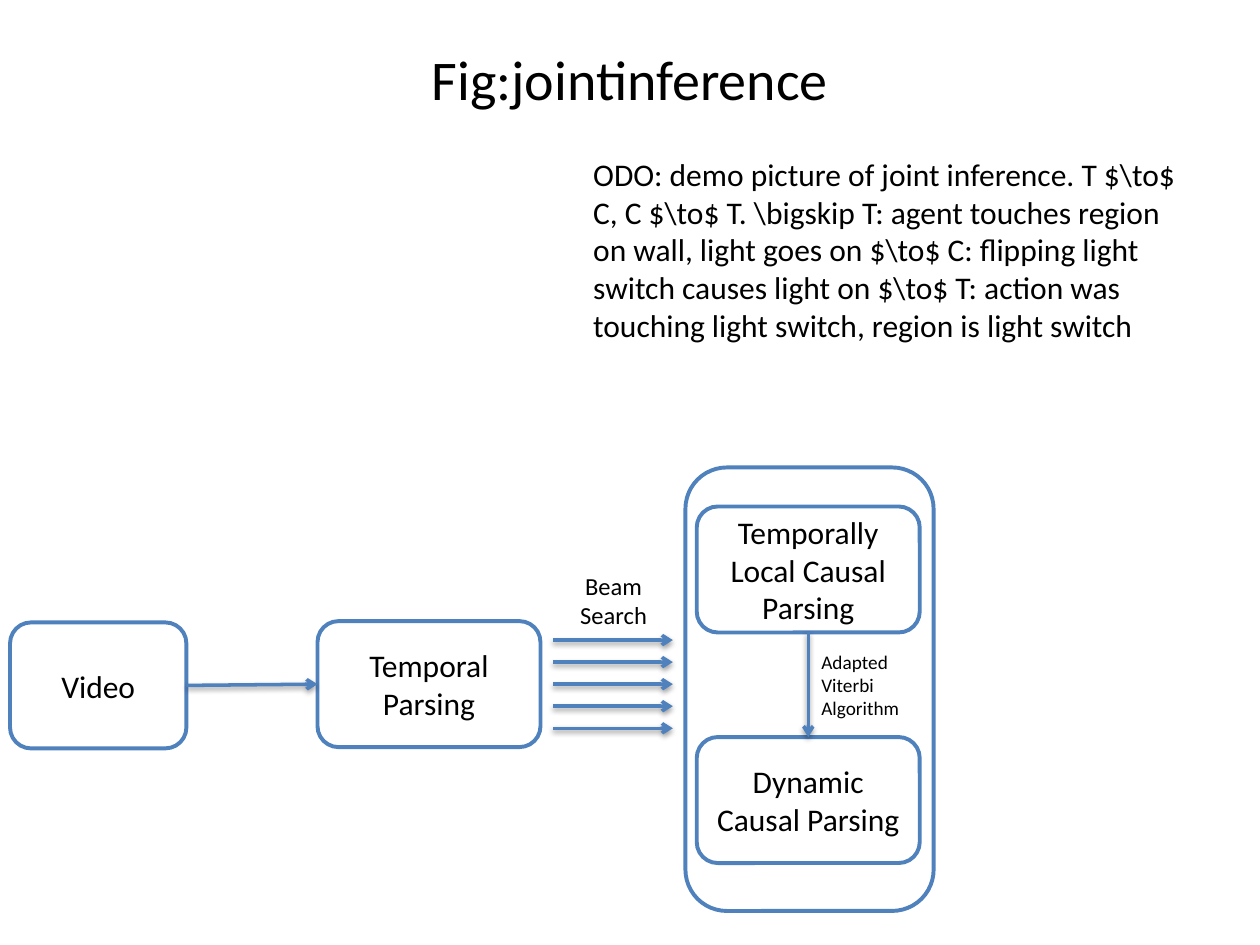
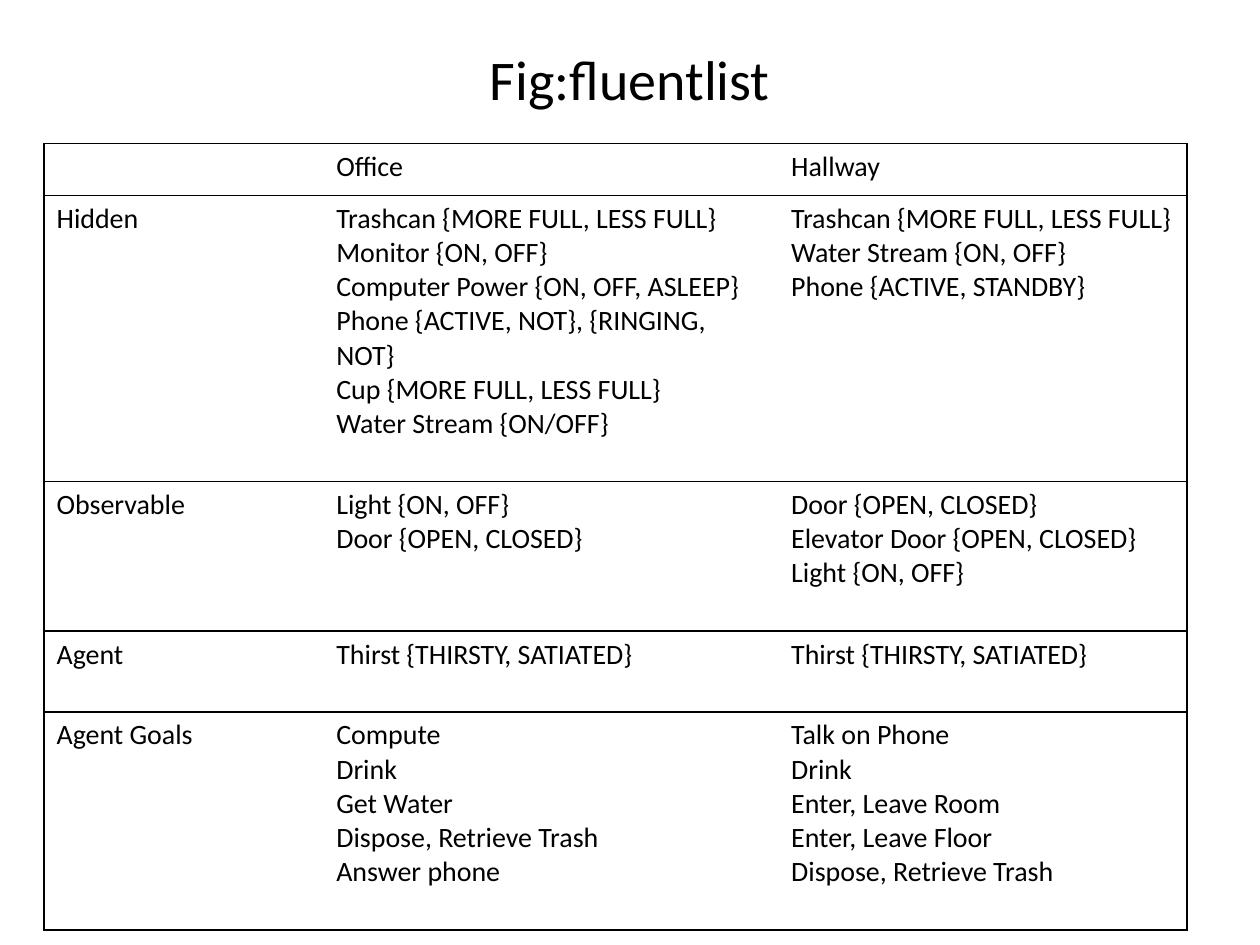
import pptx
import pptx.dml.color
import pptx.enum.shapes
import pptx.enum.text
import pptx.oxml
import pptx.oxml.ns
import pptx.util
from pptx.util import Inches

FONT = "Calibri"
BLACK, WHITE, BLUE = "000000", "FFFFFF", "4F81BD"
TOP, LEFT, BOTTOM, RIGHT = range(4)  # connection sites
ALIGN = pptx.enum.text.PP_ALIGN
ANCHOR = pptx.enum.text.MSO_ANCHOR
NS = pptx.oxml.ns.nsdecls("a")

FLUENTS = [
    ([], ["Office"], ["Hallway"]),
    (["Hidden"],
     ["Trashcan {MORE FULL, LESS FULL}", "Monitor {ON, OFF}",
      "Computer Power {ON, OFF, ASLEEP}",
      "Phone {ACTIVE, NOT}, {RINGING, NOT}",
      "Cup {MORE FULL, LESS FULL}", "Water Stream {ON/OFF}"],
     ["Trashcan {MORE FULL, LESS FULL}", "Water Stream {ON, OFF}",
      "Phone {ACTIVE, STANDBY}"]),
    (["Observable"],
     ["Light {ON, OFF}", "Door {OPEN, CLOSED}"],
     ["Door {OPEN, CLOSED}", "Elevator Door {OPEN, CLOSED}",
      "Light {ON, OFF}"]),
    (["Agent"], ["Thirst {THIRSTY, SATIATED}"],
     ["Thirst {THIRSTY, SATIATED}"]),
    (["Agent Goals"],
     ["Compute", "Drink", "Get Water", "Dispose, Retrieve Trash",
      "Answer phone"],
     ["Talk on Phone", "Drink", "Enter, Leave Room", "Enter, Leave Floor",
      "Dispose, Retrieve Trash"]),
]


def rgb(hex_text):
    return pptx.dml.color.RGBColor.from_string(hex_text)


def write(tf, lines, size, align=ALIGN.LEFT):
    """Fill a text frame with one paragraph per line."""
    tf.word_wrap = True
    for i, line in enumerate(lines):
        p = tf.add_paragraph() if i else tf.paragraphs[0]
        p.text = line
        p.alignment = align
        p.font.name = FONT
        p.font.size = pptx.util.Pt(size)
        p.font.color.rgb = rgb(BLACK)


def add_titled_slide(prs, title):
    s = prs.slides.add_slide(prs.slide_layouts[5])
    sp = s.shapes.title
    sp.left, sp.top = Inches(0.5), Inches(0.3)
    sp.width, sp.height = Inches(9), Inches(0.64)
    write(sp.text_frame, [title], 32, ALIGN.CENTER)
    sp.text_frame.vertical_anchor = ANCHOR.MIDDLE
    return s


def add_label(s, x, y, w, h, text, size, align=ALIGN.LEFT):
    sp = s.shapes.add_textbox(Inches(x), Inches(y), Inches(w), Inches(h))
    write(sp.text_frame, [text], size, align)
    sp.text_frame.auto_size = pptx.enum.text.MSO_AUTO_SIZE.SHAPE_TO_FIT_TEXT


def add_step(s, x, y, w, h, text=""):
    """Outlined rounded box, with its name centred if it has one."""
    sp = s.shapes.add_shape(
        pptx.enum.shapes.MSO_SHAPE.ROUNDED_RECTANGLE,
        Inches(x), Inches(y), Inches(w), Inches(h))
    sp.shadow.inherit = False
    sp.fill.background()
    sp.line.color.rgb = rgb(BLUE)
    sp.line.width = pptx.util.Pt(2.25)
    if text:
        write(sp.text_frame, [text], 18, ALIGN.CENTER)
        sp.text_frame.vertical_anchor = ANCHOR.MIDDLE
    return sp


def add_arrow(s, x1=0, y1=0, x2=0, y2=0):
    """Arrow with an open head and a soft shadow below."""
    cx = s.shapes.add_connector(
        pptx.enum.shapes.MSO_CONNECTOR.STRAIGHT,
        Inches(x1), Inches(y1), Inches(x2), Inches(y2))
    cx.line.color.rgb = rgb(BLUE)
    cx.line.width = pptx.util.Pt(2)
    cx.line._get_or_add_ln().append(
        pptx.oxml.parse_xml(f'<a:tailEnd {NS} type="arrow"/>'))
    cx._element.spPr.append(pptx.oxml.parse_xml(
        f'<a:effectLst {NS}><a:outerShdw blurRad="40000" dist="20000" '
        f'dir="5400000" rotWithShape="0"><a:srgbClr val="{BLACK}">'
        '<a:alpha val="38000"/></a:srgbClr></a:outerShdw></a:effectLst>'))
    return cx


def join(s, start, start_site, end, end_site):
    cx = add_arrow(s)
    cx.begin_connect(start, start_site)
    cx.end_connect(end, end_site)


def add_beam(s, x, y, w, h, count=5):
    """Parallel arrows spread evenly over the height, under a label."""
    for i in range(count):
        arrow_y = y + i * h / (count - 1)
        add_arrow(s, x, arrow_y, x + w, arrow_y)
    add_label(s, x + 0.04, y - 0.6, 0.88, 0.57, "Beam Search", 14,
              ALIGN.CENTER)


def add_causal_group(s, x, y, w, h):
    """Frame holding the two causal parsing steps."""
    step_x, step_w = x + 0.09, w - 0.2
    local = add_step(s, step_x, y + 0.31, step_w, 1,
                     "Temporally Local Causal Parsing")
    dynamic = add_step(s, step_x, y + 2.14, step_w, 1,
                       "Dynamic Causal Parsing")
    join(s, local, BOTTOM, dynamic, TOP)
    add_step(s, x, y, w, h)
    add_label(s, x + 0.98, y + 1.4, 0.89, 0.66,
              "Adapted Viterbi Algorithm", 11)


def add_pipeline(s, x, y):
    """Video, temporal parsing, beam search and causal parsing in a row."""
    video = add_step(s, x, y + 1.23, 1.4, 1, "Video")
    temporal = add_step(s, x + 2.44, y + 1.22, 1.77, 1, "Temporal Parsing")
    join(s, video, RIGHT, temporal, LEFT)
    add_beam(s, x + 4.31, y + 1.37, 0.95, 0.7)
    add_causal_group(s, x + 5.36, y, 1.97, 3.52)


def set_borders(cell, sides):
    """Black rules on the named sides (L, R, T, B), none on the others."""
    tcPr = cell._tc.get_or_add_tcPr()
    for side in "LRTB":
        paint = (f'<a:solidFill><a:srgbClr val="{BLACK}"/></a:solidFill>'
                 if side in sides else "<a:noFill/>")
        tcPr.append(pptx.oxml.parse_xml(
            f'<a:ln{side} {NS} w="12700">{paint}</a:ln{side}>'))


def add_fluent_table(s, x, y, widths, heights):
    table = s.shapes.add_table(
        len(heights), len(widths), Inches(x), Inches(y),
        Inches(sum(widths)), Inches(sum(heights))).table
    table.first_row = table.horz_banding = False
    for column, width in zip(table.columns, widths):
        column.width = Inches(width)
    for r, (height, row) in enumerate(zip(heights, FLUENTS)):
        table.rows[r].height = Inches(height)
        for c, lines in enumerate(row):
            cell = table.cell(r, c)
            set_borders(cell, ("LTB", "TB", "RTB")[c])
            cell.fill.solid()
            cell.fill.fore_color.rgb = rgb(WHITE)
            write(cell.text_frame, lines or [""], 16)


def main():
    prs = pptx.Presentation()
    prs.slide_width, prs.slide_height = Inches(10), Inches(7.5)

    # Joint inference diagram
    s = add_titled_slide(prs, "Fig:jointinference")
    add_label(s, 4.61, 1.18, 5, 1.62,
              r"ODO: demo picture of joint inference. T $\to$ C, C $\to$ T. "
              r"\bigskip T: agent touches region on wall, light goes on "
              r"$\to$ C: flipping light switch causes light on $\to$ T: "
              "action was touching light switch, region is light switch", 18)
    add_pipeline(s, 0.08, 3.71)

    # Fluent list
    s = add_titled_slide(prs, "Fig:fluentlist")
    add_fluent_table(s, 0.35, 1.14, [2.22, 3.61, 3.24],
                     [0.41, 2.27, 1.19, 0.64, 1.73])

    prs.save("out.pptx")


if __name__ == "__main__":
    main()
